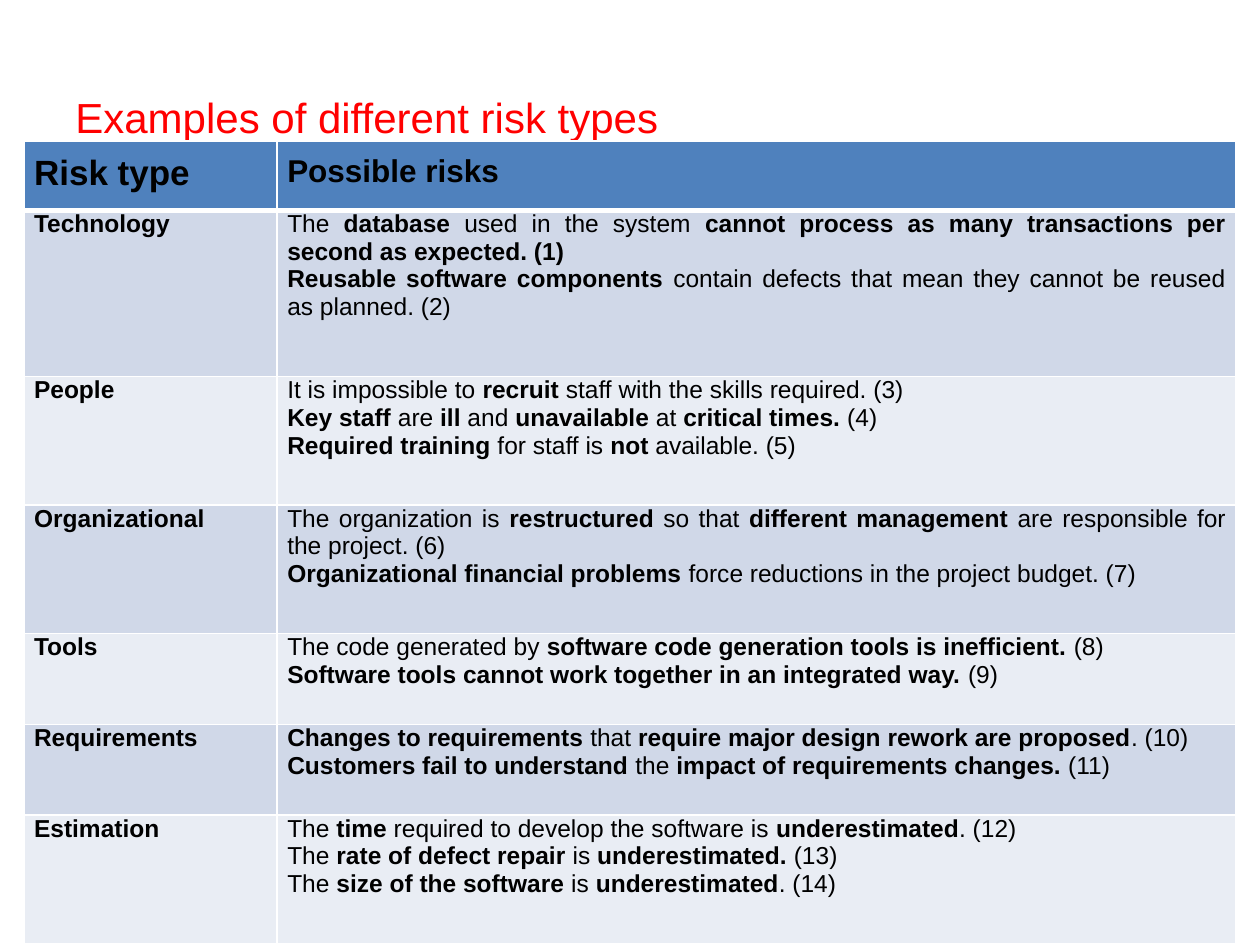
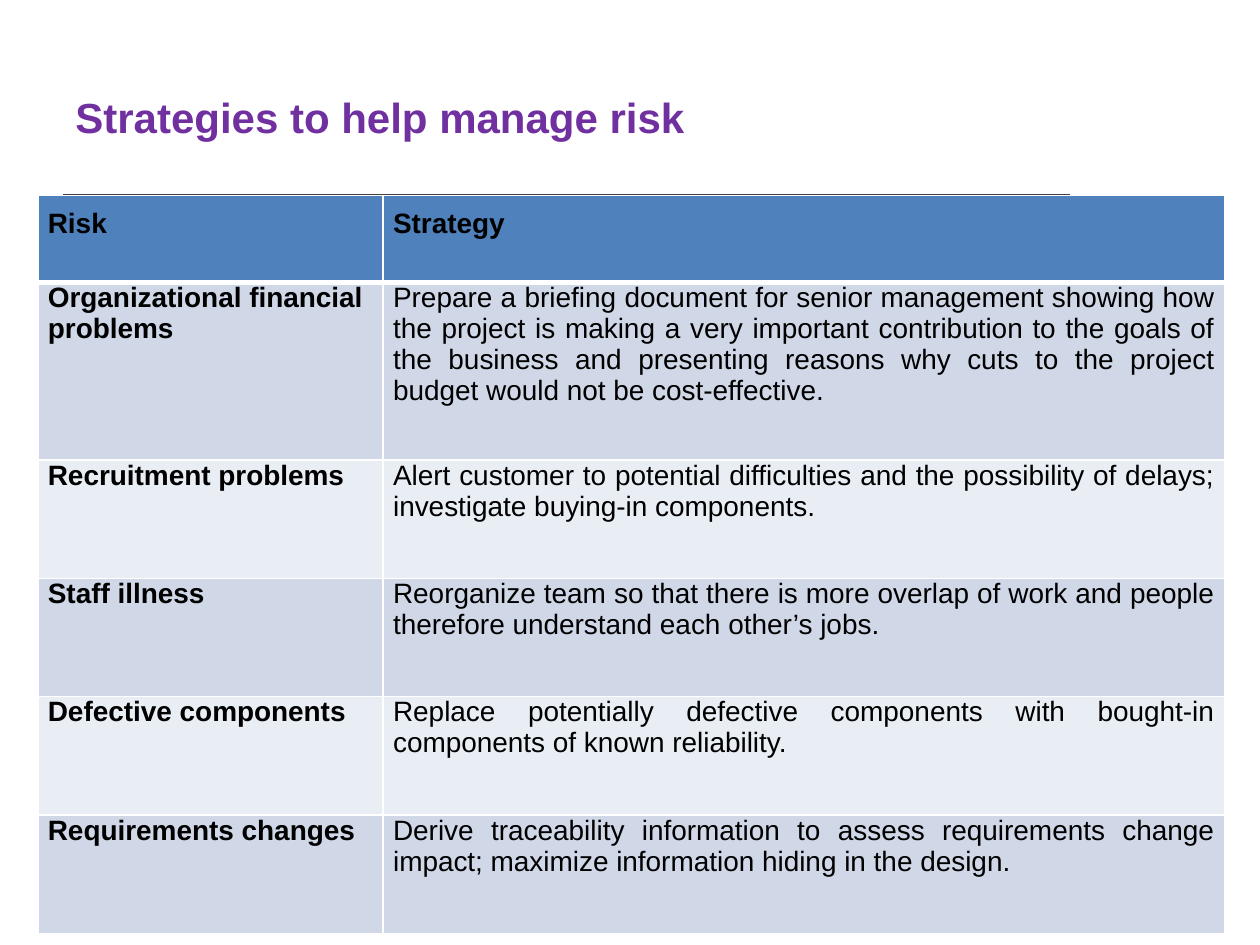
from lxml import etree
from pptx import Presentation
from pptx.dml.color import RGBColor
from pptx.enum.shapes import MSO_CONNECTOR
from pptx.enum.text import MSO_ANCHOR, PP_ALIGN
from pptx.oxml.ns import qn
from pptx.util import Inches, Pt

STRAIGHT = MSO_CONNECTOR.STRAIGHT
MIDDLE, TOP = MSO_ANCHOR.MIDDLE, MSO_ANCHOR.TOP
LEFT, JUSTIFY = PP_ALIGN.LEFT, PP_ALIGN.JUSTIFY

BLACK = RGBColor(0x00, 0x00, 0x00)
RED = RGBColor(0xFF, 0x00, 0x00)
PURPLE = RGBColor(0x70, 0x30, 0xA0)
RULE_GREY = RGBColor(0x40, 0x40, 0x40)
HEADER_BLUE = RGBColor(0x4F, 0x81, 0xBD)
BANDS = [RGBColor(0xD0, 0xD8, 0xE8), RGBColor(0xE9, 0xED, 0xF4)]
FONT = "Arial"

# Body text marks bold passages with **; each string in a list is a paragraph
SLIDES = [
    {
        "title": "Examples of different risk types",
        "title_format": {"size": Pt(24), "bold": False},
        "title_color": RED,
        "at": (0.19, 1.12),
        "cols": [2.01, 7.61],
        "rows": [0.55, 1.32, 1.02, 1.02, 0.72, 0.72, 1.02],
        "header": ["Risk type", "Possible risks"],
        "header_sizes": [20, 18],
        "body_size": 14,
        "label_align": JUSTIFY,
        "body": [
            ("Technology", [
                "The **database** used in the system **cannot process as many "
                "transactions per second as expected. (1)**",
                "**Reusable software components** contain defects that mean "
                "they cannot be reused as planned. (2)"]),
            ("People", [
                "It is impossible to **recruit** staff with the skills required. (3)",
                "**Key staff** are **ill** and **unavailable** at **critical times.** (4)",
                "**Required training** for staff is **not** available. (5)"]),
            ("Organizational", [
                "The organization is **restructured** so that **different "
                "management** are responsible for the project. (6)",
                "**Organizational financial problems** force reductions in the "
                "project budget. (7)"]),
            ("Tools", [
                "The code generated by **software code generation tools is "
                "inefficient.** (8)",
                "**Software tools cannot work together in an integrated way.** (9)"]),
            ("Requirements", [
                "**Changes to requirements** that **require major design rework "
                "are proposed**. (10)",
                "**Customers fail to understand** the **impact of requirements "
                "changes.** (11)"]),
            ("Estimation", [
                "The **time** required to develop the software is "
                "**underestimated**. (12)",
                "The **rate of defect repair** is **underestimated.** (13)",
                "The **size of the software** is **underestimated**. (14)"]),
        ],
    },
    {
        "title": "Strategies to help manage risk",
        "title_format": {"size": Pt(24), "bold": True},
        "title_color": PURPLE,
        "at": (0.3, 1.55),
        "cols": [2.74, 6.68],
        "rows": [0.69, 1.41, 0.94, 0.94, 0.94, 0.94],
        "header": ["Risk", "Strategy"],
        "header_sizes": [16, 16],
        "body_size": 16,
        "label_align": LEFT,
        "body": [
            ("Organizational financial problems", [
                "Prepare a briefing document for senior management showing how "
                "the project is making a very important contribution to the "
                "goals of the business and presenting reasons why cuts to the "
                "project budget would not be cost-effective."]),
            ("Recruitment problems", [
                "Alert customer to potential difficulties and the possibility "
                "of delays; investigate buying-in components."]),
            ("Staff illness", [
                "Reorganize team so that there is more overlap of work and "
                "people therefore understand each other’s jobs."]),
            ("Defective components", [
                "Replace potentially defective components with bought-in "
                "components of known reliability."]),
            ("Requirements changes", [
                "Derive traceability information to assess requirements change "
                "impact; maximize information hiding in the design."]),
        ],
    },
]


def add_run(p, text, color, formats):
    r = p.add_run()
    r.text = text
    r.font.name = FONT
    r.font.color.rgb = color
    for name, value in formats.items():
        setattr(r.font, name, value)


def set_borders(cell, widths):
    """Give the cell white borders; widths are points keyed by side."""
    tcPr = cell._tc.get_or_add_tcPr()
    for i, (side, width) in enumerate(widths.items()):
        ln = etree.Element(qn("a:ln" + side), w=str(Pt(width)))
        fill = etree.SubElement(ln, qn("a:solidFill"))
        etree.SubElement(fill, qn("a:srgbClr"), val="FFFFFF")
        tcPr.insert(i, ln)


prs = Presentation()
prs.slide_width, prs.slide_height = Inches(10), Inches(7.5)

for data in SLIDES:
    s = prs.slides.add_slide(prs.slide_layouts[6])

    # Rule under the title
    rule = s.shapes.add_connector(
        STRAIGHT, Inches(0.5), Inches(1.55), Inches(8.49), Inches(1.55))
    rule.line.color.rgb = RULE_GREY
    rule.line.width = Pt(2)
    etree.SubElement(rule._element.spPr, qn("a:effectLst"))

    # Title
    sp = s.shapes.add_textbox(Inches(0.5), Inches(0.3), Inches(7.98), Inches(1.25))
    tf = sp.text_frame
    tf.word_wrap = True
    tf.vertical_anchor = MIDDLE
    add_run(tf.paragraphs[0], data["title"], data["title_color"], data["title_format"])

    # Table grid
    x, y = data["at"]
    cols, rows = data["cols"], data["rows"]
    table = s.shapes.add_table(
        len(rows), len(cols), Inches(x), Inches(y),
        Inches(sum(cols)), Inches(sum(rows))).table
    for column, width in zip(table.columns, cols):
        column.width = Inches(width)
    for row, height in zip(table.rows, rows):
        row.height = Inches(height)

    # Cell contents: header and row labels are wholly bold
    header = [[f"**{text}**"] for text in data["header"]]
    body = [([f"**{label}**"], texts) for label, texts in data["body"]]
    for i, cells in enumerate([header] + body):
        for j, paragraphs in enumerate(cells):
            cell = table.cell(i, j)
            cell.fill.solid()
            cell.fill.fore_color.rgb = BANDS[(i - 1) % 2] if i else HEADER_BLUE
            set_borders(cell, {"L": 1, "R": 1, "T": 3 if i == 1 else 1,
                               "B": 1 if i else 3})
            margins = {"margin_left": 0.08, "margin_right": 0.08,
                       "margin_top": 0 if i else 0.1, "margin_bottom": 0.1}
            for name, value in margins.items():
                setattr(cell, name, Inches(value))
            cell.vertical_anchor = TOP

            size = data["body_size"] if i else data["header_sizes"][j]
            tf = cell.text_frame
            for k, text in enumerate(paragraphs):
                p = tf.add_paragraph() if k else tf.paragraphs[0]
                p.alignment = data["label_align"] if i and j == 0 else JUSTIFY
                for n, part in enumerate(text.split("**")):
                    if part:
                        add_run(p, part, BLACK, {"size": Pt(size), "bold": n % 2 == 1})

prs.save("out.pptx")
